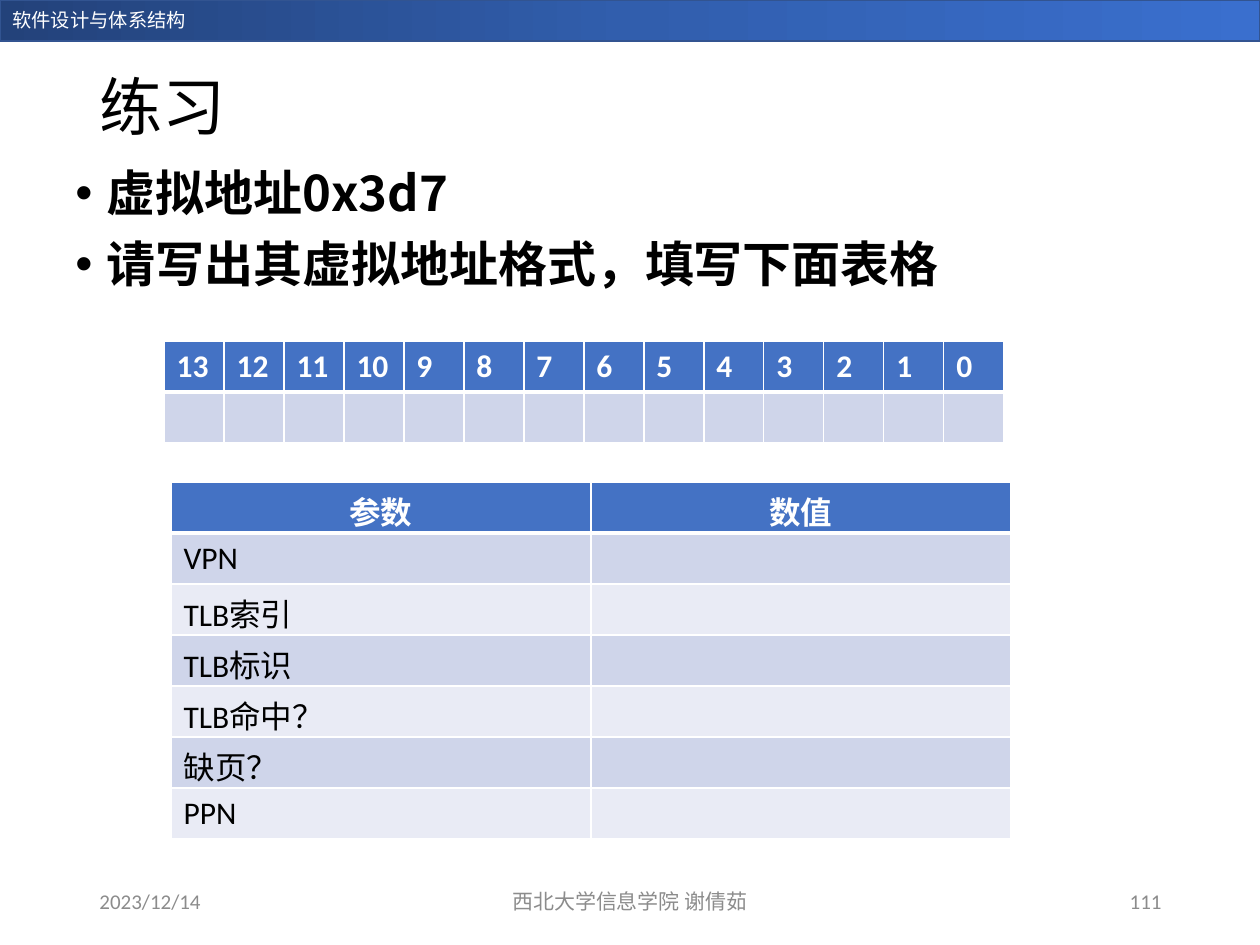
import copy

import pptx
import pptx.dml.color
import pptx.enum.shapes
import pptx.enum.text
import pptx.oxml
import pptx.oxml.ns
import pptx.util

PX = 914400 / 126
LATIN, CJK = "Calibri", "Noto Sans CJK SC"
ALIGN = pptx.enum.text.PP_ALIGN
ANCHOR = pptx.enum.text.MSO_ANCHOR
COLORS = {
    "white": "FFFFFF", "black": "000000", "footer": "8C8C8C",
    "bar_line": "325491", "head": "4472C4", "dark_band": "CFD5EA",
    "light_band": "E9EBF5",
}

# Content
BAR_STOPS = [(0, "23427A"), (0.5, "315EAD"), (1, "3A6FCE")]
COURSE = "软件设计与体系结构"
TITLE = "练习"
TASKS = ["虚拟地址0x3d7", "请写出其虚拟地址格式，填写下面表格"]
FOOTERS = [
    ("2023/12/14", (87, 876, 284, 50), ALIGN.LEFT),
    ("西北大学信息学院 谢倩茹", (417, 876, 426, 50), ALIGN.CENTER),
    ("111", (890, 876, 284, 50), ALIGN.RIGHT),
]
BITS = [[str(bit) for bit in range(13, -1, -1)], [""] * 14]
ANSWERS = [["参数", "数值"]] + [
    [name, ""] for name in
    ["VPN", "TLB索引", "TLB标识", "TLB命中？", "缺页？", "PPN"]]


def px(value):
    return pptx.util.Emu(round(value * PX))


def rgb(name):
    return pptx.dml.color.RGBColor.from_string(COLORS.get(name, name))


def element(tag, **attributes):
    node = pptx.oxml.parse_xml(f"<a:{tag} {pptx.oxml.ns.nsdecls('a')}/>")
    for key, value in attributes.items():
        node.set(key, str(value))
    return node


def write(para, text, size, color, latin=LATIN, bold=False, **layout):
    for key, value in layout.items():
        setattr(para, key, value)
    span = para.add_run()
    span.text = text
    values = {"name": latin, "size": pptx.util.Pt(size), "bold": bold}
    for key, value in values.items():
        setattr(span.font, key, value)
    span.font.color.rgb = rgb(color)
    span.font._element.find(pptx.oxml.ns.qn("a:latin")).addnext(
        element("ea", typeface=CJK))


def add_box(page, place, anchor=ANCHOR.MIDDLE):
    frame = page.shapes.add_textbox(*map(px, place)).text_frame
    frame.word_wrap = True
    frame.vertical_anchor = anchor
    return frame


def add_bar(page):
    bar = page.shapes.add_shape(
        pptx.enum.shapes.MSO_SHAPE.RECTANGLE, 0, 0, px(1260), px(41))
    bar.shadow.inherit = False
    bar.fill.gradient()
    bar.fill.gradient_angle = 0
    first = bar._element.spPr.find(".//" + pptx.oxml.ns.qn("a:gs"))
    first.addnext(copy.deepcopy(first))
    for stop, (position, color) in zip(bar.fill.gradient_stops, BAR_STOPS):
        stop.position = position
        stop.color.rgb = rgb(color)
    bar.line.color.rgb = rgb("bar_line")
    bar.line.width = pptx.util.Pt(1)


def set_borders(cell, bottom):
    widths = {"lnL": 1, "lnR": 1, "lnT": 1, "lnB": bottom}
    for index, (tag, width) in enumerate(widths.items()):
        line = element(tag, w=pptx.util.Pt(width))
        fill = element("solidFill")
        fill.append(element("srgbClr", val=COLORS["white"]))
        line.append(fill)
        cell._tc.get_or_add_tcPr().insert(index, line)


def add_grid(page, rows, left, top, width, row_height, head_align):
    grid = page.shapes.add_table(
        len(rows), len(rows[0]), px(left), px(top), px(width),
        px(row_height * len(rows))).table
    for column in grid.columns:
        column.width = px(width / len(rows[0]))
    for r, row in enumerate(rows):
        grid.rows[r].height = px(row_height)
        head = r == 0
        band = "head" if head else "dark_band" if r % 2 else "light_band"
        for c, text in enumerate(row):
            cell = grid.cell(r, c)
            cell.fill.solid()
            cell.fill.fore_color.rgb = rgb(band)
            set_borders(cell, 3 if head else 1)
            para = cell.text_frame.paragraphs[0]
            if text:
                write(para, text, 18, "white" if head else "black", bold=head,
                      alignment=head_align if head else ALIGN.LEFT)
            else:
                para.font.size = pptx.util.Pt(18)


def main():
    deck = pptx.Presentation()
    deck.slide_width, deck.slide_height = px(1260), px(945)
    page = deck.slides.add_slide(deck.slide_layouts[6])

    # Course bar and title
    add_bar(page)
    course = add_box(page, (0, 2, 314, 36), ANCHOR.TOP)
    write(course.paragraphs[0], COURSE, 11, "white")
    title = add_box(page, (87, 19, 1086, 183))
    write(title.paragraphs[0], TITLE, 36, "black", CJK, line_spacing=0.9)

    # Task bullets
    body = add_box(page, (63, 163, 1134, 624), ANCHOR.TOP)
    for index, task in enumerate(TASKS):
        para = body.add_paragraph() if index else body.paragraphs[0]
        props = para._p.get_or_add_pPr()
        props.set("marL", str(px(31.5)))
        props.set("indent", str(px(-31.5)))
        props.append(element("buFont", typeface="Arial"))
        props.append(element("buChar", char="•"))
        write(para, task, 28, "black", CJK, True, line_spacing=0.9,
              space_before=pptx.util.Pt(10 if index else 0))

    # Footer
    for text, place, align in FOOTERS:
        footer = add_box(page, place)
        write(footer.paragraphs[0], text, 12, "footer", alignment=align)

    # Address bits and answer table
    add_grid(page, BITS, 164, 341, 840, 51, ALIGN.LEFT)
    add_grid(page, ANSWERS, 171, 482, 840, 51, ALIGN.CENTER)

    deck.save("out.pptx")


if __name__ == "__main__":
    main()
